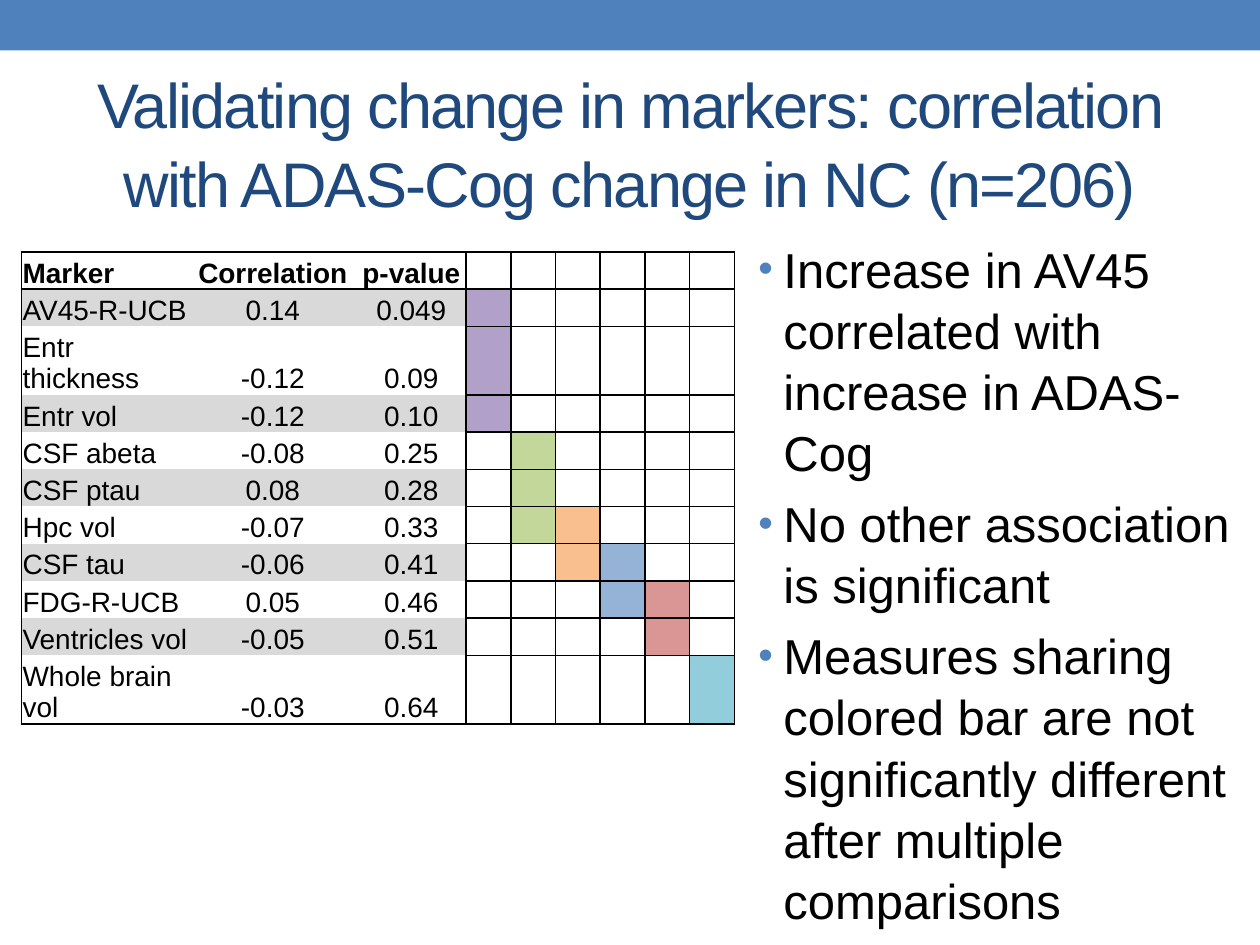
"""Slide on marker change correlated with ADAS-Cog change."""
from lxml.etree import SubElement
from pptx import Presentation
from pptx.dml.color import RGBColor
from pptx.enum.shapes import MSO_SHAPE as Shape
from pptx.enum.text import MSO_ANCHOR as Anchor, PP_ALIGN as Align
from pptx.oxml.ns import qn
from pptx.util import Inches, Pt


def color(value):
    return RGBColor.from_string(value)


def add_text(paragraph, text, size, ink, bold=False):
    run = paragraph.add_run()
    run.text = text
    run.font.name = "Arial"
    run.font.size = Pt(size)
    run.font.bold = bold
    run.font.color.rgb = color(ink)
    return run


deck = Presentation()
deck.slide_width, deck.slide_height = Inches(10), Inches(7.5)
slide = deck.slides.add_slide(deck.slide_layouts[6])
shapes = slide.shapes

banner = shapes.add_shape(Shape.RECTANGLE, 0, 0, deck.slide_width, Inches(0.4))
banner.shadow.inherit = False
banner.fill.solid()
banner.fill.fore_color.rgb = color("4F81BD")
banner.line.fill.background()

title = shapes.add_textbox(Inches(0.5), Inches(0.58), Inches(9), Inches(1.08)).text_frame
title.word_wrap = True
title.vertical_anchor = Anchor.MIDDLE
heading = title.paragraphs[0]
heading.alignment = Align.CENTER
heading.line_spacing = 1.04
heading_run = add_text(
    heading, "Validating change in markers: correlation with ADAS-Cog change in NC (n=206)", 36, "1F497D")
heading_run.font._element.set("spc", "-100")

markers = [
    ("Marker", "Correlation", "p-value"),
    ("AV45-R-UCB", "0.14", "0.049"),
    ("Entr thickness", "-0.12", "0.09"),
    ("Entr vol", "-0.12", "0.10"),
    ("CSF abeta", "-0.08", "0.25"),
    ("CSF ptau", "0.08", "0.28"),
    ("Hpc vol", "-0.07", "0.33"),
    ("CSF tau", "-0.06", "0.41"),
    ("FDG-R-UCB", "0.05", "0.46"),
    ("Ventricles vol", "-0.05", "0.51"),
    ("Whole brain vol", "-0.03", "0.64"),
]
group_bars = [
    ("B1A0C7", 1, 3), ("C4D79B", 4, 6), ("FABF8F", 6, 7),
    ("95B3D7", 7, 8), ("DA9694", 8, 9), ("92CDDC", 10, 10),
]
label_widths = [1.33, 1.33, 0.87]
widths = label_widths + [0.355] * len(group_bars)
labels, last_row = len(label_widths), len(markers) - 1

table = shapes.add_table(
    len(markers), len(widths), Inches(0.17), Inches(2), Inches(sum(widths)), Inches(3.25)).table
table.first_row = table.horz_banding = False
for column, width in zip(table.columns, widths):
    column.width = Inches(width)

for r, marker in enumerate(markers):
    for c in range(len(widths)):
        cell = table.cell(r, c)
        cell.margin_left = cell.margin_right = cell.margin_top = Inches(0.01)
        cell.margin_bottom = 0
        cell.vertical_anchor = Anchor.BOTTOM
        paragraph = cell.text_frame.paragraphs[0]
        in_grid = c >= labels
        if in_grid:
            paragraph.font.size = Pt(16)
            tint, first, last = group_bars[c - labels]
            filled = first <= r <= last
        else:
            paragraph.alignment = Align.CENTER if c else Align.LEFT
            add_text(paragraph, marker[c], 16, "000000", bold=r == 0)
            tint, filled = "D9D9D9", r % 2 == 1

        edges = {
            "a:lnL": in_grid or c == 0,
            "a:lnR": in_grid or c == labels - 1,
            "a:lnT": in_grid or r <= 1,
            "a:lnB": in_grid or r in (0, last_row),
        }
        for tag, drawn in edges.items():
            edge = SubElement(cell._tc.get_or_add_tcPr(), qn(tag), w=str(Pt(1)))
            if drawn:
                SubElement(SubElement(edge, qn("a:solidFill")), qn("a:srgbClr"), val="000000")
            else:
                SubElement(edge, qn("a:noFill"))
        if filled:
            cell.fill.solid()
            cell.fill.fore_color.rgb = color(tint)
        else:
            cell.fill.background()

findings = shapes.add_textbox(Inches(5.92), Inches(1.83), Inches(4), Inches(5.16)).text_frame
findings.word_wrap = True
for i, finding in enumerate([
    "Increase in AV45 correlated with increase in ADAS-Cog",
    "No other association is significant",
    "Measures sharing colored bar are not significantly different after multiple comparisons",
]):
    paragraph = findings.add_paragraph() if i else findings.paragraphs[0]
    paragraph.line_spacing = 1.04
    if i:
        paragraph.space_before = Pt(5.6)
    props = paragraph._p.get_or_add_pPr()
    props.set("marL", str(Inches(0.2)))
    props.set("indent", str(-Inches(0.2)))
    SubElement(SubElement(props, qn("a:buClr")), qn("a:srgbClr"), val="4F81BD")
    SubElement(props, qn("a:buSzPct"), val="85000")
    SubElement(props, qn("a:buFont"), typeface="Arial")
    SubElement(props, qn("a:buChar"), char="•")
    add_text(paragraph, finding, 28, "000000")

deck.save("out.pptx")
